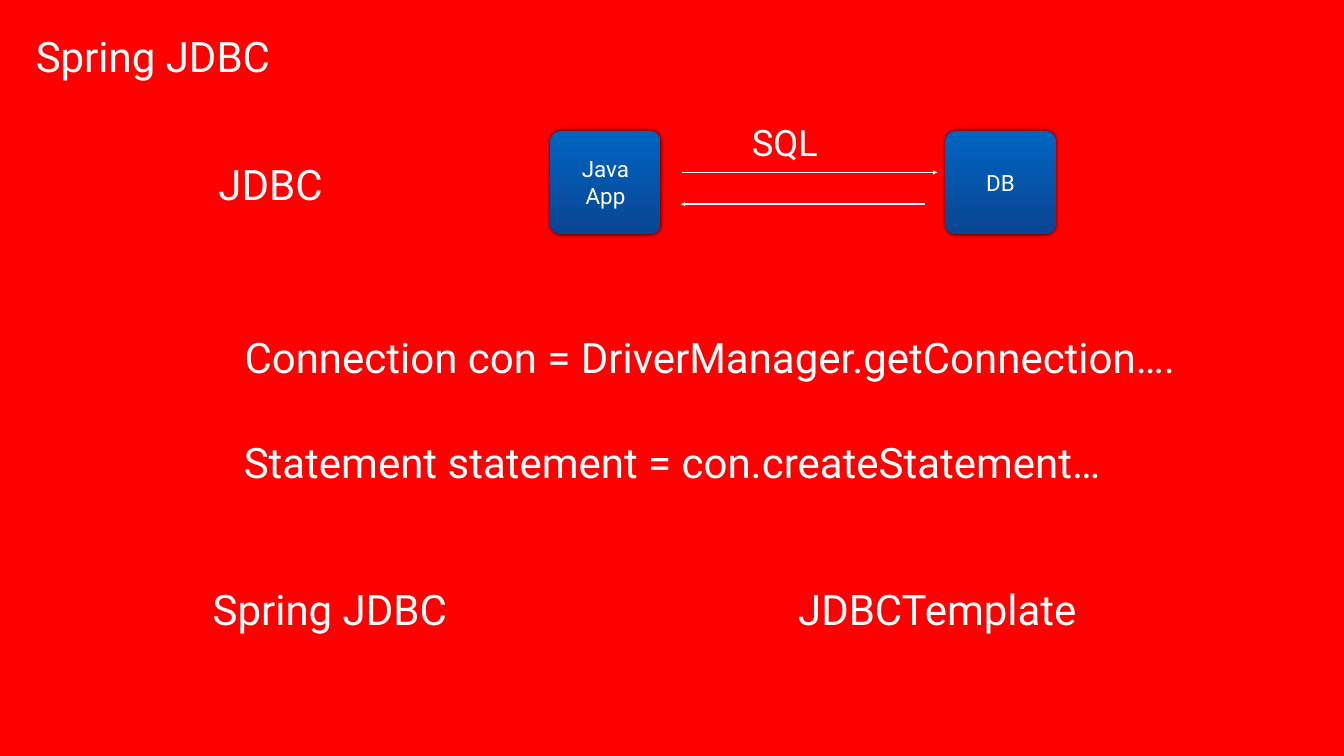
from dataclasses import dataclass

from lxml import etree
from pptx import Presentation
from pptx.dml.color import RGBColor as RGB
from pptx.enum.shapes import MSO_CONNECTOR as LINK, MSO_SHAPE as SHAPE
from pptx.enum.text import MSO_ANCHOR as ANCHOR, MSO_AUTO_SIZE as FIT, PP_ALIGN as ALIGN
from pptx.oxml import parse_xml
from pptx.oxml.ns import nsdecls, qn
from pptx.util import Inches, Pt


@dataclass(frozen=True)
class Theme:
    back: RGB = RGB(0xFF, 0x00, 0x00)
    ink: RGB = RGB(0xFF, 0xFF, 0xFF)
    top: RGB = RGB(0x00, 0x65, 0xC1)
    base: RGB = RGB(0x09, 0x45, 0x93)
    font: str = "Roboto"
    large: int = 60
    label: int = 52
    node: int = 32
    line: int = 2


THEME = Theme()
SHADOW = (
    f'<a:effectLst {nsdecls("a")}>'
    '<a:outerShdw blurRad="76200" dist="0" dir="18900000" rotWithShape="0">'
    '<a:srgbClr val="000000"><a:alpha val="80000"/></a:srgbClr>'
    '</a:outerShdw></a:effectLst>'
)


def write(shape, text, size):
    frame = shape.text_frame
    frame.text = text
    frame.vertical_anchor = ANCHOR.MIDDLE
    frame.margin_left = frame.margin_right = Inches(0.06)
    frame.margin_top = frame.margin_bottom = Inches(0.06)
    for para in frame.paragraphs:
        para.alignment = ALIGN.CENTER
        para.font.name = THEME.font
        para.font.size = Pt(size)
        para.font.color.rgb = THEME.ink
    return frame


def write_line(shape, text, size):
    """Write text that stays on one line."""
    frame = write(shape, text, size)
    frame.word_wrap = False
    frame.auto_size = FIT.SHAPE_TO_FIT_TEXT


def add_title(slide, text, left, top, width, height):
    title = slide.shapes.title
    title.left, title.top = Inches(left), Inches(top)
    title.width, title.height = Inches(width), Inches(height)
    write_line(title, text, THEME.large)


def add_text(slide, text, left, top, width, height=1.11, size=THEME.large):
    box = slide.shapes.add_textbox(*map(Inches, (left, top, width, height)))
    write_line(box, text, size)


def add_node(slide, text, left, top, width, height):
    node = slide.shapes.add_shape(
        SHAPE.ROUNDED_RECTANGLE, *map(Inches, (left, top, width, height)))
    node.adjustments[0] = 0.102
    node.fill.gradient()
    node.fill.gradient_angle = 270
    for stop, color in zip(node.fill.gradient_stops, (THEME.top, THEME.base)):
        stop.color.rgb = color
    stops = node.fill.gradient_stops
    stops[0].position, stops[1].position = 0, 1
    node.line.fill.background()
    node.element.spPr.append(parse_xml(SHADOW))
    write(node, text, THEME.node).word_wrap = True


def add_arrow(slide, start, end, y):
    arrow = slide.shapes.add_connector(
        LINK.STRAIGHT, *map(Inches, (start, y, end, y)))
    arrow.line.color.rgb = THEME.ink
    arrow.line.width = Pt(THEME.line)
    etree.SubElement(arrow.line._get_or_add_ln(), qn("a:tailEnd"), type="triangle")
    etree.SubElement(arrow.element.spPr, qn("a:effectLst"))


def add_flow(slide, left, top, width, height):
    """Draw the app and the database with the calls between them."""
    side = 2.19
    add_node(slide, "Java\nApp", left, top, side, height)
    add_node(slide, "DB", left + width - side, top, side, height)
    add_arrow(slide, left + 7.43, left + 2.59, top + 1.45)
    add_text(slide, "SQL", left + 3.89, top - 0.27, 1.53, 0.97, THEME.label)
    add_arrow(slide, left + 2.62, left + 7.68, top + 0.82)


def add_code(slide, left, top):
    """Place the two statements of plain JDBC."""
    add_text(slide, "Connection con = DriverManager.getConnection….", left, top, 19.26)
    add_text(slide, "Statement statement = con.createStatement…",
             left + 0.21, top + 2.08, 17.34)


def add_spring(slide, left, top):
    """Place the Spring counterpart in one row."""
    add_text(slide, "Spring JDBC", left, top, 4.99)
    add_text(slide, "JDBCTemplate", left + 11.71, top, 5.68)


def main():
    deck = Presentation()
    deck.slide_width, deck.slide_height = Inches(26.67), Inches(15)
    slide = deck.slides.add_slide(deck.slide_layouts.get_by_name("Title Only"))
    slide.background.fill.solid()
    slide.background.fill.fore_color.rgb = THEME.back
    add_title(slide, "Spring JDBC", 0.54, 0.56, 4.99, 1.11)
    add_text(slide, "JDBC", 4.22, 3.09, 2.3)
    add_code(slide, 4.46, 6.53)
    add_spring(slide, 4.05, 11.52)
    add_flow(slide, 10.92, 2.6, 10.03, 2.04)
    deck.save("out.pptx")


if __name__ == "__main__":
    main()
